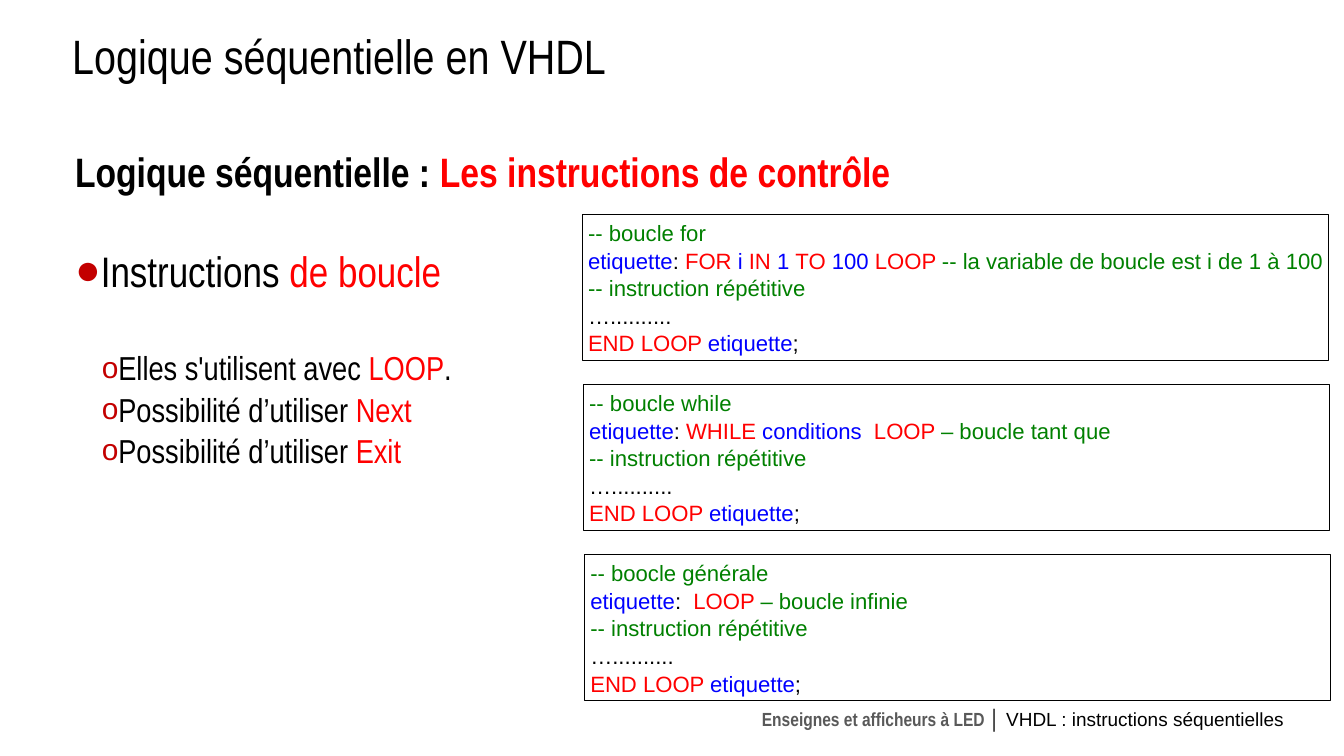
import pptx
import pptx.util
import pptx.dml.color
import pptx.enum.text
import pptx.enum.shapes
import lxml.etree
from pptx.util import Inches, Pt

BLACK = pptx.dml.color.RGBColor(0x00, 0x00, 0x00)
RED = pptx.dml.color.RGBColor(0xFF, 0x00, 0x00)
BLUE = pptx.dml.color.RGBColor(0x00, 0x00, 0xFF)
GREEN = pptx.dml.color.RGBColor(0x00, 0x80, 0x00)
GRAY = pptx.dml.color.RGBColor(0x59, 0x59, 0x59)
BULLET_RED = pptx.dml.color.RGBColor(0xC3, 0x00, 0x00)

REPEATED = [("-- instruction répétitive", GREEN)]
DOTS = [("…..........", BLACK)]
END_LOOP = [("END LOOP ", RED), ("etiquette", BLUE), (";", BLACK)]

LOOPS = [
    ("-- boucle for",
     [(": ", BLACK), ("FOR", RED), (" i ", BLUE), ("IN", RED), (" 1 ", BLUE),
      ("TO", RED), (" 100 ", BLUE), ("LOOP ", RED),
      ("-- la variable de boucle est i de 1 à 100", GREEN)]),
    ("-- boucle while",
     [(": ", BLACK), ("WHILE", RED), (" conditions  ", BLUE), ("LOOP ", RED),
      ("– boucle tant que", GREEN)]),
    ("-- boocle générale",
     [(":  ", BLACK), ("LOOP ", RED), ("– boucle infinie", GREEN)]),
]

SUB_POINTS = [
    [("Elles s'utilisent avec ", BLACK), ("LOOP", RED), (".", BLACK)],
    [("Possibilité d’utiliser ", BLACK), ("Next", RED)],
    [("Possibilité d’utiliser ", BLACK), ("Exit", RED)],
]


def write(para, spans, size, font="Arial Narrow", bold=False):
    para.font.size = Pt(size)
    para.font.name = font
    para.font.bold = bold
    for text, color in spans:
        span = para.add_run()
        span.text = text
        span.font.color.rgb = color


def set_bullet(para, char, margin, percent=100):
    properties = para._p.get_or_add_pPr()
    properties.set("marL", str(Inches(margin)))
    properties.set("indent", "0")
    bullet = lxml.etree.fromstring(
        '<a:pPr xmlns:a="http://schemas.openxmlformats.org/drawingml/2006/main">'
        f'<a:buClr><a:srgbClr val="{BULLET_RED}"/></a:buClr>'
        f'<a:buSzPct val="{percent * 1000}"/>'
        f'<a:buFont typeface="Arial"/><a:buChar char="{char}"/></a:pPr>')
    for position, element in enumerate(list(bullet)):
        anchor = properties.find(pptx.oxml.ns.qn("a:defRPr"))
        anchor.addprevious(element)


def add_text(page, left, top, width, height, inset=(0, 0)):
    box = page.shapes.add_textbox(Inches(left), Inches(top), Inches(width), Inches(height))
    frame = box.text_frame
    frame.word_wrap = True
    frame.margin_left = frame.margin_right = Inches(inset[0])
    frame.margin_top = frame.margin_bottom = Inches(inset[1])
    return frame


def add_footer(page):
    para = add_text(page, 12.76, 12.31, 10.05, 0.67, (0.24, 0.12)).paragraphs[0]
    para.alignment = pptx.enum.text.PP_ALIGN.RIGHT
    write(para, [("Enseignes et afficheurs à LED ", GRAY), ("│ ", BLACK),
                 ("VHDL : instructions séquentielles", BLACK)], 24, "Arial")
    label, divider, _ = para.runs
    label.font.name = "Arial Narrow"
    label.font.bold = divider.font.bold = True


def add_body(page):
    frame = add_text(page, 0.76, 2.57, 21.83, 10.28)
    heading = frame.paragraphs[0]
    write(heading, [("Logique séquentielle : ", BLACK),
                    ("Les instructions de contrôle", RED)], 52, bold=True)
    heading._p.get_or_add_pPr().set("marL", str(Inches(0.56)))
    point = frame.add_paragraph()
    point.space_before = Pt(62)
    write(point, [("Instructions ", BLACK), ("de boucle", RED)], 54)
    set_bullet(point, "●", 0.56)
    for index, spans in enumerate(SUB_POINTS):
        para = frame.add_paragraph()
        para.level = 1
        para.space_before = Pt(2 if index else 66)
        write(para, spans, 42)
        set_bullet(para, "o", 1.03, 90)


def add_code(page, left, top, comment, opening):
    box = page.shapes.add_shape(pptx.enum.shapes.MSO_SHAPE.RECTANGLE,
                                Inches(left), Inches(top), Inches(13.11), Inches(2.56))
    box.shadow.inherit = False
    box.fill.background()
    box.line.color.rgb = BLACK
    box.line.width = Pt(0.75)
    frame = box.text_frame
    frame.word_wrap = False
    frame.vertical_anchor = pptx.enum.text.MSO_ANCHOR.MIDDLE
    lines = [[(comment, GREEN)], [("etiquette", BLUE)] + opening, REPEATED, DOTS, END_LOOP]
    for index, spans in enumerate(lines):
        para = frame.add_paragraph() if index else frame.paragraphs[0]
        para.alignment = pptx.enum.text.PP_ALIGN.LEFT
        para.line_spacing = 1.04
        write(para, spans, 28, "Arial")


def main():
    deck = pptx.Presentation()
    deck.slide_width = Inches(23.63)
    deck.slide_height = Inches(13.29)
    page = deck.slides.add_slide(deck.slide_layouts[6])
    add_footer(page)
    add_body(page)
    title = add_text(page, 1.03, 0.35, 20.01, 1.61, (0.24, 0.12))
    write(title.paragraphs[0], [("Logique séquentielle en VHDL", BLACK)], 61)
    for index, (comment, opening) in enumerate(LOOPS):
        add_code(page, 10.24 + 0.02 * index, 3.77 + 2.99 * index, comment, opening)
    deck.save("out.pptx")


if __name__ == "__main__":
    main()
